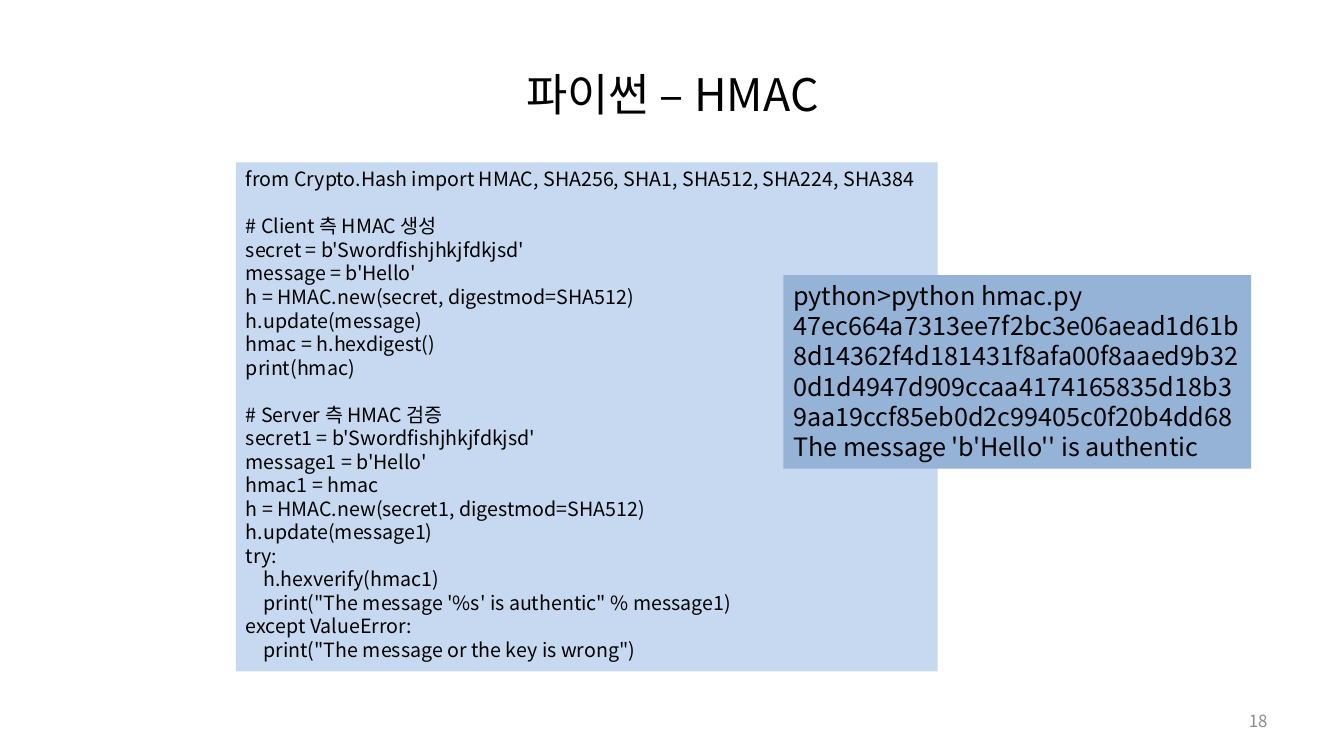
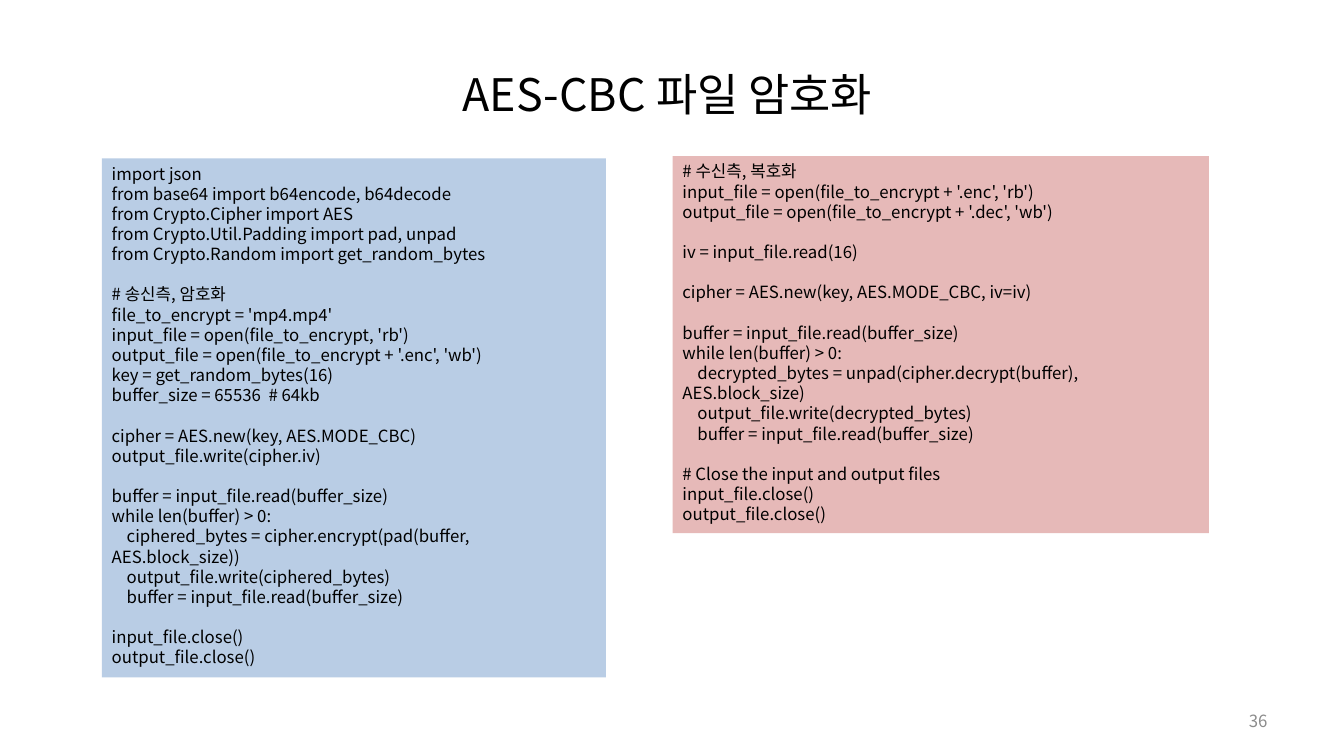
"""Build two slides of Python cryptography listings: HMAC and AES-CBC."""
from lxml.etree import SubElement
from pptx import Presentation
from pptx.dml.color import RGBColor
from pptx.enum.shapes import MSO_SHAPE
from pptx.enum.text import MSO_ANCHOR, MSO_AUTO_SIZE, PP_ALIGN
from pptx.oxml.ns import qn
from pptx.util import Inches, Pt

FONT = "Noto Sans CJK KR"
BLACK = RGBColor(0x00, 0x00, 0x00)
GRAY = RGBColor(0x8C, 0x8C, 0x8C)
PALE_BLUE = RGBColor(0xC6, 0xD9, 0xF1)
MID_BLUE = RGBColor(0x95, 0xB3, 0xD7)
SOFT_BLUE = RGBColor(0xB9, 0xCD, 0xE5)
PINK = RGBColor(0xE6, 0xB9, 0xB8)

HARD_SPACE = " "
LINE_PITCH = 1.2
INDENT_PER_SPACE = 0.224

TITLE_AREA = (0.67, 0.3, 12, 1.25)
NUMBER_AREA = (9.56, 6.95, 3.11, 0.4)

HMAC_CODE = """from Crypto.Hash import HMAC, SHA256, SHA1, SHA512, SHA224, SHA384

# Client 측 HMAC 생성
secret = b'Swordfishjhkjfdkjsd'
message = b'Hello'
h = HMAC.new(secret, digestmod=SHA512)
h.update(message)
hmac = h.hexdigest()
print(hmac)

# Server 측 HMAC 검증
secret1 = b'Swordfishjhkjfdkjsd'
message1 = b'Hello'
hmac1 = hmac
h = HMAC.new(secret1, digestmod=SHA512)
h.update(message1)
try:
    h.hexverify(hmac1)
    print("The message '%s' is authentic" % message1)
except ValueError:
    print("The message or the key is wrong")"""

HMAC_OUTPUT = """python>python hmac.py
47ec664a7313ee7f2bc3e06aead1d61b8d14362f4d181431f8afa00f8aaed9b320d1d4947d909ccaa4174165835d18b39aa19ccf85eb0d2c99405c0f20b4dd68
The message 'b'Hello'' is authentic"""

ENCRYPT_CODE = """import json
from base64 import b64encode, b64decode
from Crypto.Cipher import AES
from Crypto.Util.Padding import pad, unpad
from Crypto.Random import get_random_bytes

# 송신측, 암호화
file_to_encrypt = 'mp4.mp4'
input_file = open(file_to_encrypt, 'rb')
output_file = open(file_to_encrypt + '.enc', 'wb')
key = get_random_bytes(16)
buffer_size = 65536  # 64kb

cipher = AES.new(key, AES.MODE_CBC)
output_file.write(cipher.iv)

buffer = input_file.read(buffer_size)
while len(buffer) > 0:
    ciphered_bytes = cipher.encrypt(pad(buffer, AES.block_size))
    output_file.write(ciphered_bytes)
    buffer = input_file.read(buffer_size)

input_file.close()
output_file.close()"""

DECRYPT_CODE = """# 수신측, 복호화
input_file = open(file_to_encrypt + '.enc', 'rb')
output_file = open(file_to_encrypt + '.dec', 'wb')

iv = input_file.read(16)

cipher = AES.new(key, AES.MODE_CBC, iv=iv)

buffer = input_file.read(buffer_size)
while len(buffer) > 0:
    decrypted_bytes = unpad(cipher.decrypt(buffer), AES.block_size)
    output_file.write(decrypted_bytes)
    buffer = input_file.read(buffer_size)

# Close the input and output files
input_file.close()
output_file.close()"""

PAGES = [
    {"title": "파이썬 – HMAC", "number": "18", "listings": [
        (HMAC_CODE, (2.34, 1.61, 6.96, 5.05), PALE_BLUE, 14),
        (HMAC_OUTPUT, (7.77, 2.73, 4.64, 1.92), MID_BLUE, 18),
    ]},
    {"title": "AES-CBC 파일 암호화 ", "number": "36", "listings": [
        (ENCRYPT_CODE, (1.01, 1.57, 5, 5.15), SOFT_BLUE, 12),
        (DECRYPT_CODE, (6.67, 1.55, 5.32, 3.74), PINK, 12),
    ]},
]


def set_all(target, values):
    """Set each named attribute of the target."""
    for name, value in values.items():
        setattr(target, name, value)


def place(box, area):
    """Move and size a box from lengths in inches."""
    set_all(box, dict(zip(("left", "top", "width", "height"), map(Inches, area))))


def set_frame(box, anchor):
    """Give a text frame wrapping, a fixed size and an anchor."""
    set_all(box.text_frame, {"word_wrap": True, "auto_size": MSO_AUTO_SIZE.NONE,
                             "vertical_anchor": anchor})


def write(paragraph, text, size, color, align):
    """Add one formatted span to a paragraph."""
    paragraph.alignment = align
    span = paragraph.add_run()
    span.text = text
    span.font.color.rgb = color
    set_all(span.font, {"name": FONT, "size": Pt(size)})
    SubElement(span.font._element, qn("a:ea"), typeface=FONT)


def add_listing(page, code, area, fill, size):
    """Add a filled box of code, turning empty lines into spacing."""
    box = page.shapes.add_shape(MSO_SHAPE.RECTANGLE, *map(Inches, area))
    box.shadow.inherit = False
    box.fill.solid()
    box.fill.fore_color.rgb = fill
    box.line.fill.background()
    set_frame(box, MSO_ANCHOR.TOP)
    pitch = Pt(size * LINE_PITCH)
    for index, block in enumerate(code.split("\n\n")):
        for row, line in enumerate(block.split("\n")):
            first = index == row == 0
            frame = box.text_frame
            paragraph = frame.paragraphs[0] if first else frame.add_paragraph()
            gap = pitch if index and row == 0 else Pt(0)
            set_all(paragraph, {"line_spacing": pitch, "space_before": gap})
            text = line.lstrip(" ")
            depth = len(line) - len(text)
            if depth:
                indent = Pt(depth * INDENT_PER_SPACE * size)
                paragraph._p.get_or_add_pPr().set("indent", str(indent))
            write(paragraph, text.replace(" ", HARD_SPACE), size, BLACK, PP_ALIGN.LEFT)


def add_page(deck, title, number, listings):
    """Add a slide with its title, number and listings."""
    page = deck.slides.add_slide(deck.slide_layouts[5])
    heading = page.shapes.title
    place(heading, TITLE_AREA)
    footer = page.shapes.add_textbox(*map(Inches, NUMBER_AREA))
    for box, text, size, color, align in (
        (heading, title, 32, BLACK, PP_ALIGN.CENTER),
        (footer, number, 12, GRAY, PP_ALIGN.RIGHT),
    ):
        set_frame(box, MSO_ANCHOR.MIDDLE)
        write(box.text_frame.paragraphs[0], text, size, color, align)
    for listing in listings:
        add_listing(page, *listing)


def main():
    """Build and save the deck."""
    deck = Presentation()
    set_all(deck, {"slide_width": Inches(13.33), "slide_height": Inches(7.5)})
    for page in PAGES:
        add_page(deck, **page)
    deck.save("out.pptx")


if __name__ == "__main__":
    main()
